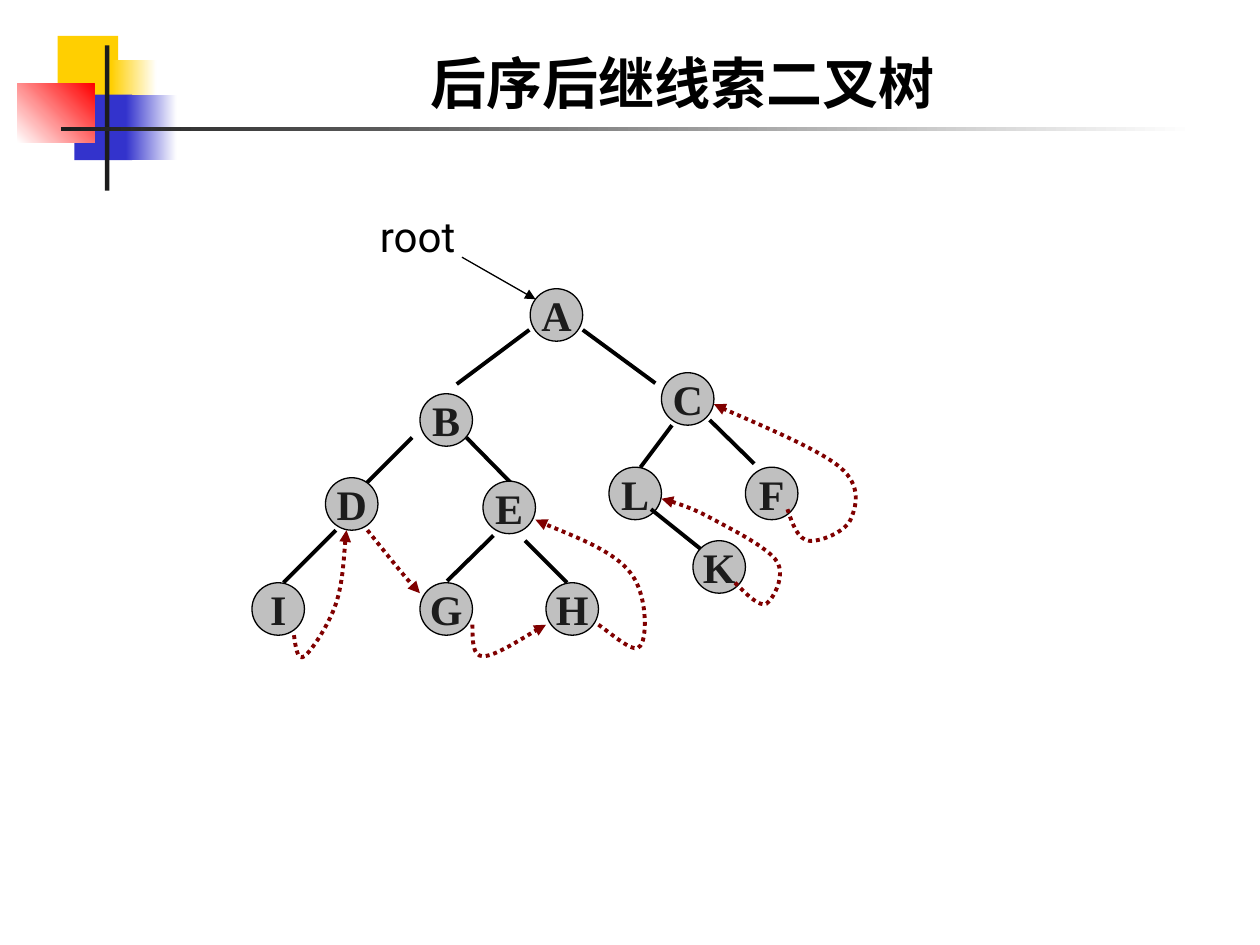
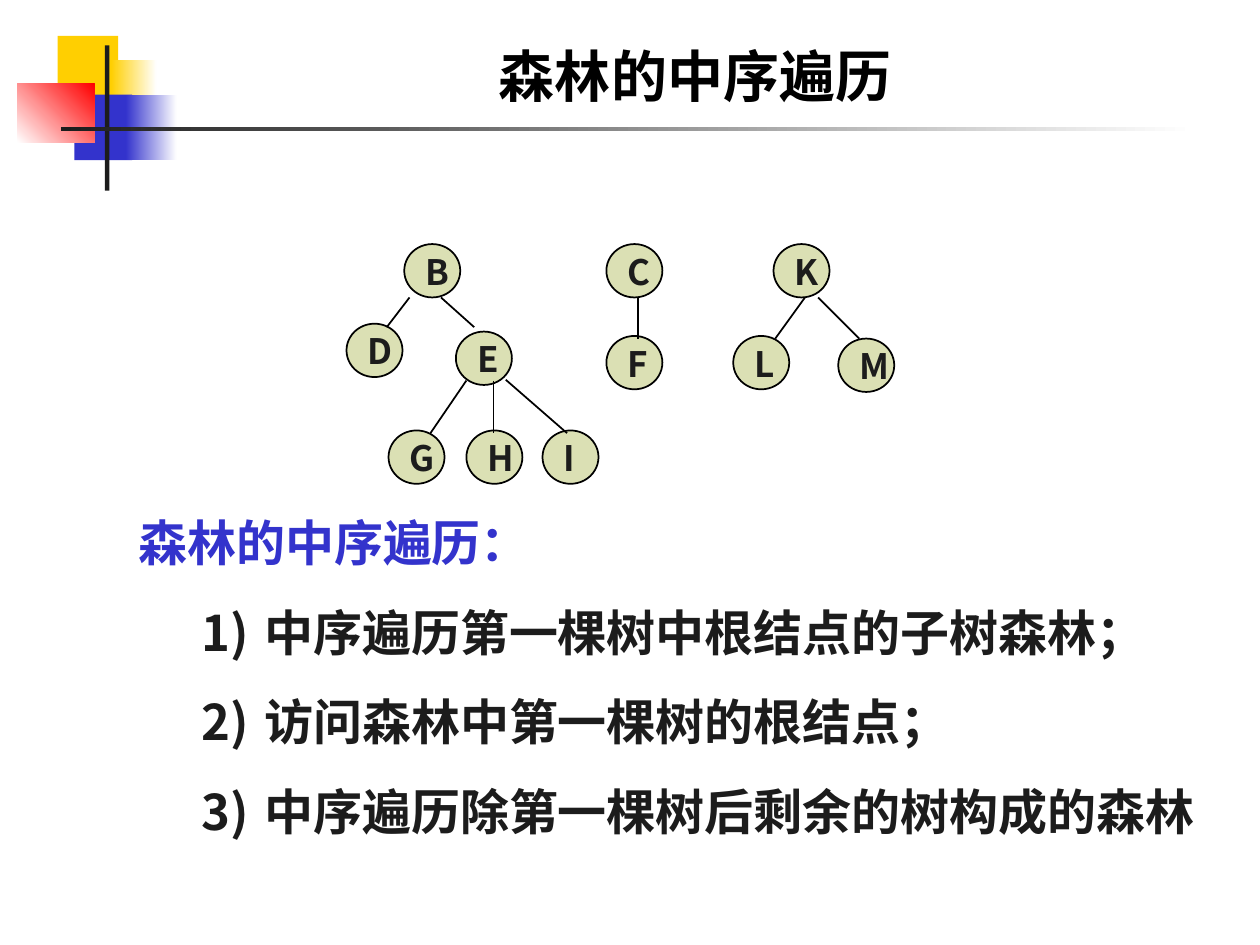
"""Build two slides on threaded binary trees and forest traversal."""
from lxml.etree import SubElement as Sub
from pptx import Presentation
from pptx.dml.color import RGBColor as RGB
from pptx.enum.dml import MSO_LINE as Dash
from pptx.enum.shapes import MSO_CONNECTOR as Conn, MSO_SHAPE as Kind
from pptx.enum.text import MSO_ANCHOR as Anchor, PP_ALIGN as Align
from pptx.oxml.ns import qn
from pptx.util import Pt

BLACK, WHITE, INK = RGB(0, 0, 0), RGB(255, 255, 255), RGB(0x1C, 0x1C, 0x1C)
GOLD, BLUE, RED = RGB(0xFF, 0xCF, 0x01), RGB(0x33, 0x33, 0xCC), RGB(255, 0, 0)
GREY, LIME, WINE = RGB(0xC0, 0xC0, 0xC0), RGB(0xDB, 0xE0, 0xB4), RGB(0x80, 0, 0)
SANS, SERIF, HAN = "Roboto", "Times New Roman", "Noto Sans CJK SC"

DECOR = [
    ((33, 20.5, 34.5, 37.5), [GOLD], 0),
    ((63.5, 34.5, 26, 37.5), [GOLD, WHITE], 0),
    ((42.5, 54, 33, 37.5), [BLUE], 0),
    ((72, 54, 29, 37.5), [BLUE, WHITE], 0),
    ((10, 48, 44, 33.5), [WHITE, RED], 45),
    ((60, 26, 2.5, 83), [INK], 0),
    ((35, 72.5, 648, 2.5), [INK, WHITE], 0),
]

TREE = [
    ("A", 303, 165, None),
    ("B", 240, 225, (302.5, 188.5, 261, 219.5)),
    ("C", 378, 213, (333, 188.5, 374.5, 219)),
    ("D", 186, 273, (235.5, 250, 209.5, 276)),
    ("E", 276, 275, (266.5, 250, 292, 276)),
    ("L", 348, 267, (384, 243, 366, 267)),
    ("F", 426, 267, (405.5, 240, 431, 265)),
    ("I", 144, 333, (192, 303, 162, 333)),
    ("G", 240, 333, (282, 306, 255.5, 332)),
    ("H", 312, 333, (300, 309, 324, 333)),
    ("K", 396, 309, (372, 291, 402, 315)),
]
THREADS = [
    [(168, 363), (169, 370), (170, 378), (174, 375), (178, 372),
     (188, 357), (192, 345), (196, 333), (197, 309.5), (198, 303)],
    [(210, 303), (222.5, 318), (234.5, 333), (240, 339)],
    [(270, 357), (269.5, 366), (269.5, 375), (276, 375), (283, 375),
     (306, 360), (312, 357)],
    [(342, 357), (353, 365), (363, 373.5), (366, 369), (369.5, 363.5),
     (370, 339), (360, 327), (350, 314.5), (315.5, 301.5), (306, 297)],
    [(420, 333), (427, 340), (434, 347), (438, 345), (442, 342.5),
     (449, 329), (444, 321), (439, 313), (419, 303), (408, 297),
     (397, 291), (383, 286.5), (378, 285)],
    [(450, 291), (453, 299.5), (456, 308), (462, 309), (468, 309.5),
     (483, 304), (486, 297), (489, 290), (493, 278), (480, 267),
     (467, 255.5), (420, 237), (408, 231)],
]

FOREST = [
    ("B", 231, 139.5), ("D", 198, 185), ("E", 260.5, 189.5),
    ("G", 222, 246), ("H", 266.5, 246), ("I", 310, 246),
    ("C", 346.5, 139.5), ("F", 346.5, 192),
    ("K", 442, 139.5), ("L", 419, 192), ("M", 479, 193.5),
]
TWIGS = [
    (234, 170, 221, 187), (252, 170, 271, 187),
    (266.5, 217.5, 246, 247.5), (282, 217.5, 282, 247.5),
    (289, 217, 324, 247.5), (364.5, 170, 364.5, 193.5),
    (460, 170, 443, 193.5), (467.5, 170, 491, 193.5),
]
HEAD = "森林的中序遍历："
STEPS = [
    "中序遍历第一棵树中根结点的子树森林；",
    "访问森林中第一棵树的根结点；",
    "中序遍历除第一棵树后剩余的树构成的森林",
]


def write(para, text, size=24, face=HAN, color=INK, bold=True, align=Align.LEFT):
    """Put formatted text into a paragraph."""
    run = para.add_run()
    run.text = text
    font = run.font
    font.size, font.name, font.bold = Pt(size), face, bold
    font.color.rgb = color
    Sub(run._r.get_or_add_rPr(), qn("a:ea"), typeface=HAN)
    para.alignment = align


def label(slide, box, text, anchor=Anchor.TOP, **look):
    """Add a text box holding one paragraph."""
    frame = slide.shapes.add_textbox(*map(Pt, box)).text_frame
    frame.word_wrap, frame.vertical_anchor = True, anchor
    write(frame.paragraphs[0], text, **look)
    return frame


def shape(slide, kind, box, fills, turn=0, edge=None):
    """Add a plain or gradient preset shape."""
    item = slide.shapes.add_shape(kind, *map(Pt, box))
    item.shadow.inherit = False
    if len(fills) == 1:
        item.fill.solid()
        item.fill.fore_color.rgb = fills[0]
    else:
        item.fill.gradient()
        item.fill.gradient_angle = turn
        for stop, color in zip(item.fill.gradient_stops, fills):
            stop.color.rgb = color
    if edge:
        item.line.color.rgb, item.line.width = BLACK, Pt(edge)
    else:
        item.line.fill.background()
    return item


def arrow(item):
    """Give a line a triangle at its end."""
    Sub(item.line._get_or_add_ln(), qn("a:tailEnd"), type="triangle")


def line(slide, ends, width):
    """Add a straight black line."""
    item = slide.shapes.add_connector(Conn.STRAIGHT, *map(Pt, ends))
    item.line.color.rgb, item.line.width = BLACK, Pt(width)
    Sub(item._element.spPr, qn("a:effectLst"))
    return item


def thread(slide, points):
    """Add a dotted curve from a start point and Bezier triples."""
    form = slide.shapes.build_freeform(*points[0], scale=Pt(1))
    form.add_line_segments(points[1:], close=False)
    item = form.convert_to_shape()
    item.shadow.inherit = False
    item.fill.background()
    item.line.color.rgb, item.line.width = WINE, Pt(2.25)
    item.line.dash_style = Dash.ROUND_DOT
    arrow(item)
    track = next(item._element.iter(qn("a:path")))
    legs = track.findall(qn("a:lnTo"))
    for i in range(0, len(legs), 3):
        curve = Sub(track, qn("a:cubicBezTo"))
        for leg in legs[i:i + 3]:
            curve.append(leg[0])
            track.remove(leg)


def start(deck, title, box):
    """Add a slide with the shared corner art and a title."""
    slide = deck.slides.add_slide(deck.slide_layouts[6])
    for spot, fills, turn in DECOR:
        shape(slide, Kind.RECTANGLE, spot, fills, turn)
    label(slide, box, title, Anchor.BOTTOM, size=32, face=SANS,
          color=BLACK, align=Align.CENTER)
    return slide


def draw_tree(deck):
    """Draw the threaded binary tree."""
    slide = start(deck, "后序后继线索二叉树", (84, 9.5, 612, 60))
    for name, x, y, edge in TREE:
        if edge:
            line(slide, edge, 2.25)
        node = shape(slide, Kind.OVAL, (x, y, 30, 30), [GREY], edge=0.75)
        frame = node.text_frame
        frame.word_wrap, frame.vertical_anchor = False, Anchor.MIDDLE
        write(frame.paragraphs[0], name, face=SERIF, align=Align.CENTER)
    label(slide, (210, 117, 72, 36), "root", face=SANS, color=BLACK, bold=False)
    arrow(line(slide, (264, 147, 306, 171), 0.75))
    for points in THREADS:
        thread(slide, points)


def draw_forest(deck):
    """Draw the forest and the traversal steps."""
    slide = start(deck, "森林的中序遍历", (90.5, 16.5, 613.5, 49))
    for name, x, y in FOREST:
        shape(slide, Kind.OVAL, (x, y, 32, 30.5), [LIME], edge=1)
        label(slide, (x + 5, y, 32, 32), name, size=20)
    for ends in TWIGS:
        line(slide, ends, 1)
    frame = label(slide, (72, 289.5, 630, 194.5), HEAD, size=28, color=BLUE,
                  align=Align.JUSTIFY)
    for step in STEPS:
        para = frame.add_paragraph()
        props = para._p.get_or_add_pPr()
        props.set("marL", str(Pt(72)))
        props.set("indent", str(Pt(-36)))
        para.space_before = Pt(17.5)
        tint = Sub(props, qn("a:buClr"))
        Sub(tint, qn("a:srgbClr"), val=str(INK))
        Sub(props, qn("a:buAutoNum"), type="arabicParenR")
        write(para, step, size=28, align=Align.JUSTIFY)


def main():
    """Build and save the deck."""
    deck = Presentation()
    deck.slide_width, deck.slide_height = Pt(720), Pt(540)
    draw_tree(deck)
    draw_forest(deck)
    deck.save("out.pptx")


if __name__ == "__main__":
    main()
